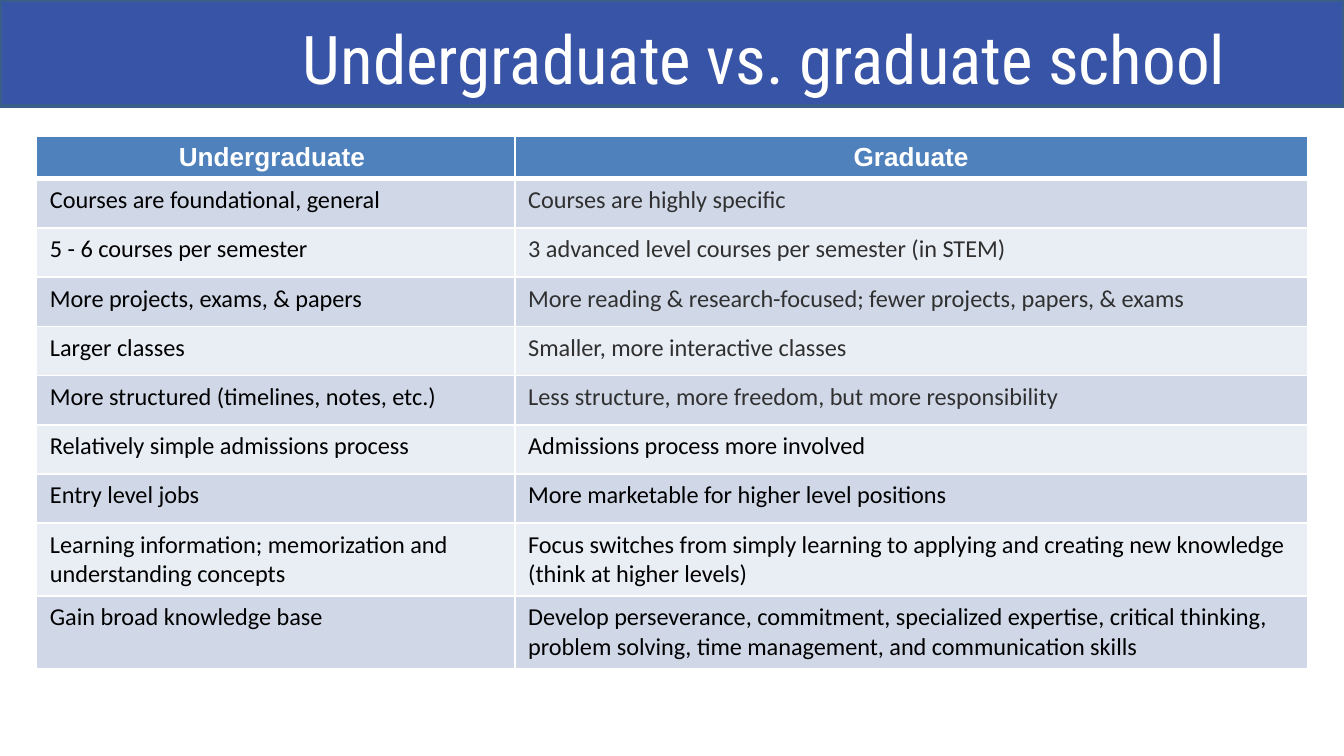
from pptx import Presentation
from pptx.dml.color import RGBColor as Rgb
from pptx.enum.shapes import MSO_SHAPE as Shape
from pptx.enum.text import MSO_ANCHOR as Anchor, MSO_AUTO_SIZE as Auto, PP_ALIGN as Align
from pptx.oxml import parse_xml
from pptx.oxml.ns import nsdecls
from pptx.util import Cm, Pt

HUES = {
    "band": "3854A6", "edge": "395E89", "head": "4F81BD", "odd": "D0D8E8",
    "even": "E9EDF4", "white": "FFFFFF", "black": "000000", "gray": "303030",
}
HEADS = ("Undergraduate ", "Graduate")
ROWS = [
    ("Courses are foundational, general", "Courses are highly specific"),
    ("5 - 6 courses per semester", "3 advanced level courses per semester (in STEM)"),
    ("More projects, exams, & papers",
     "More reading & research-focused; fewer projects, papers, & exams"),
    ("Larger classes", "Smaller, more interactive classes"),
    ("More structured (timelines, notes, etc.)",
     "Less structure, more freedom, but more responsibility"),
    ("Relatively simple admissions process", "Admissions process more involved"),
    ("Entry level jobs", "More marketable for higher level positions"),
    ("Learning information; memorization and understanding concepts",
     "Focus switches from simply learning to applying and creating new knowledge "
     "(think at higher levels)"),
    ("Gain broad knowledge base",
     "Develop perseverance, commitment, specialized expertise, critical thinking, "
     "problem solving, time management, and communication skills"),
]
WIDTHS = (9.04, 14.98)
HEIGHTS = [0.69] + [0.93] * 7 + [1.3] * 2
GRAY_ROWS = 5


def hue(name):
    """Return the named colour."""
    return Rgb.from_string(HUES[name])


def add_run(para, text, font, size, color, bold=False):
    """Add one formatted run to a paragraph."""
    run = para.add_run()
    run.text = text
    run.font.name = font
    run.font.size = Pt(size)
    run.font.bold = bold
    run.font.color.rgb = hue(color)


def add_band(slide):
    """Draw the band across the top."""
    band = slide.shapes.add_shape(Shape.RECTANGLE, 0, 0, Cm(25.4), Cm(2))
    band.shadow.inherit = False
    band.fill.solid()
    band.fill.fore_color.rgb = hue("band")
    band.line.color.rgb = hue("edge")
    band.line.width = Pt(2)


def set_title(slide, text):
    """Place the title in front of the band and fill it."""
    title = slide.shapes.title
    title.left, title.top, title.width, title.height = Cm(1.45), Cm(0.23), Cm(21.9), Cm(1.73)
    slide.shapes._spTree.append(title._element)
    frame = title.text_frame
    frame.word_wrap = True
    frame.auto_size = Auto.SHAPE_TO_FIT_TEXT
    frame.vertical_anchor = Anchor.MIDDLE
    frame.margin_left = frame.margin_right = Cm(0.18)
    frame.margin_top = frame.margin_bottom = Cm(0.1)
    para = frame.paragraphs[0]
    para.alignment = Align.RIGHT
    add_run(para, text, "Roboto Condensed", 36, "white")


def set_edges(cell, top, base):
    """Draw white borders, with widths in points above and below."""
    props = cell._tc.get_or_add_tcPr()
    for side, width in (("L", 1), ("R", 1), ("T", top), ("B", base)):
        props.append(parse_xml(
            f'<a:ln{side} {nsdecls("a")} w="{Pt(width)}"><a:solidFill>'
            f'<a:srgbClr val="{HUES["white"]}"/></a:solidFill></a:ln{side}>'))


def set_cell(cell, text, row, col):
    """Fill and format one cell by its place in the table."""
    set_edges(cell, 3 if row == 1 else 1, 3 if row == 0 else 1)
    cell.fill.solid()
    para = cell.text_frame.paragraphs[0]
    if row == 0:
        cell.fill.fore_color.rgb = hue("head")
        para.alignment = Align.CENTER
        add_run(para, text, "Arial", 14, "white", True)
    else:
        cell.fill.fore_color.rgb = hue("odd" if row % 2 else "even")
        color = "gray" if col == 1 and row <= GRAY_ROWS else "black"
        add_run(para, text, "Calibri", 13, color)


def add_grid(slide):
    """Add the table that compares the two levels."""
    lines = [HEADS] + ROWS
    grid = slide.shapes.add_table(
        len(lines), len(WIDTHS), Cm(0.69), Cm(2.57),
        Cm(sum(WIDTHS)), Cm(sum(HEIGHTS))).table
    for col, width in zip(grid.columns, WIDTHS):
        col.width = Cm(width)
    for row, height in zip(grid.rows, HEIGHTS):
        row.height = Cm(height)
    for row, line in enumerate(lines):
        for col, text in enumerate(line):
            set_cell(grid.cell(row, col), text, row, col)


def main():
    """Build and save the slide."""
    deck = Presentation()
    deck.slide_width, deck.slide_height = Cm(25.4), Cm(14.29)
    slide = deck.slides.add_slide(deck.slide_layouts[5])
    add_band(slide)
    add_grid(slide)
    set_title(slide, "Undergraduate vs. graduate school")
    deck.save("out.pptx")


if __name__ == "__main__":
    main()
